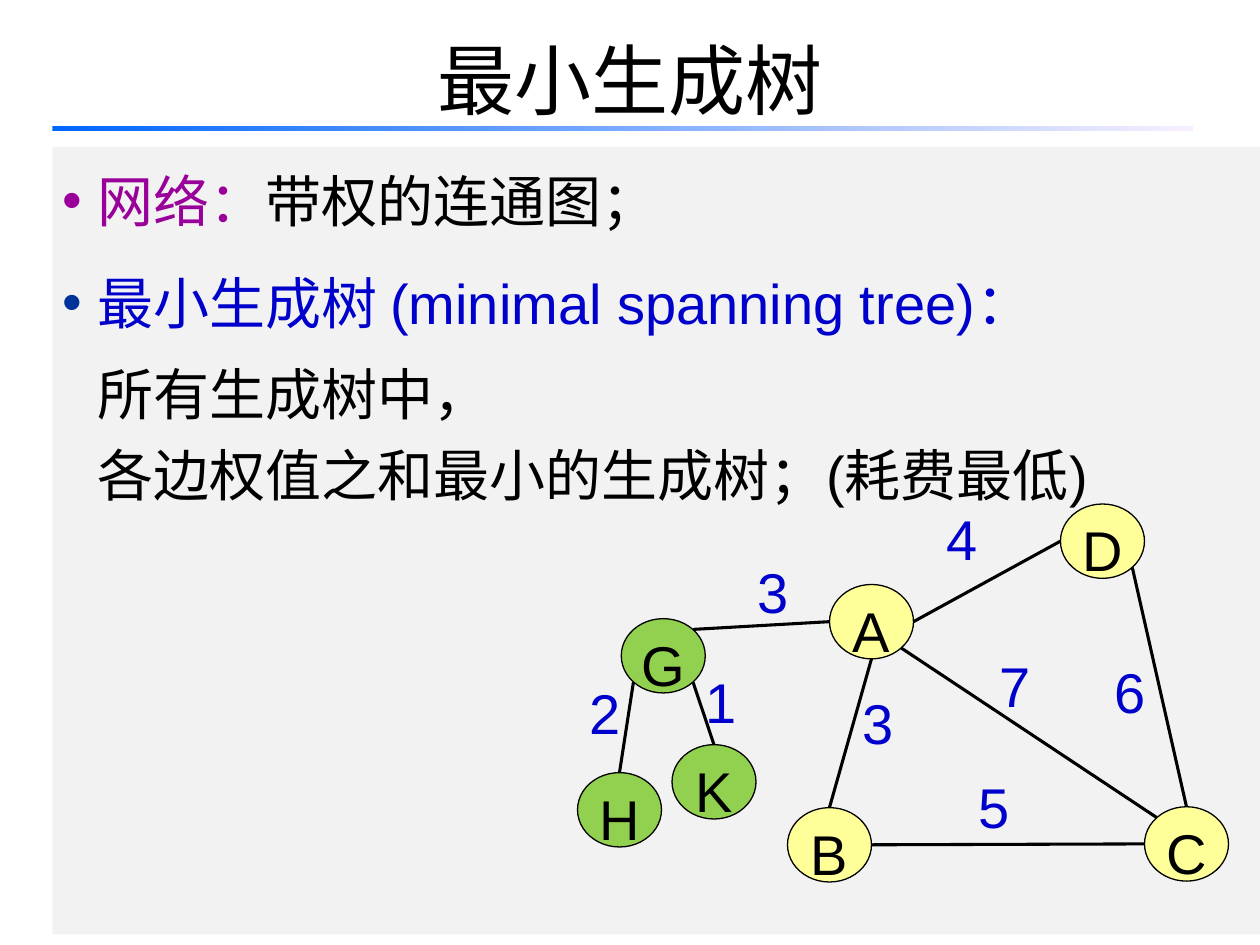
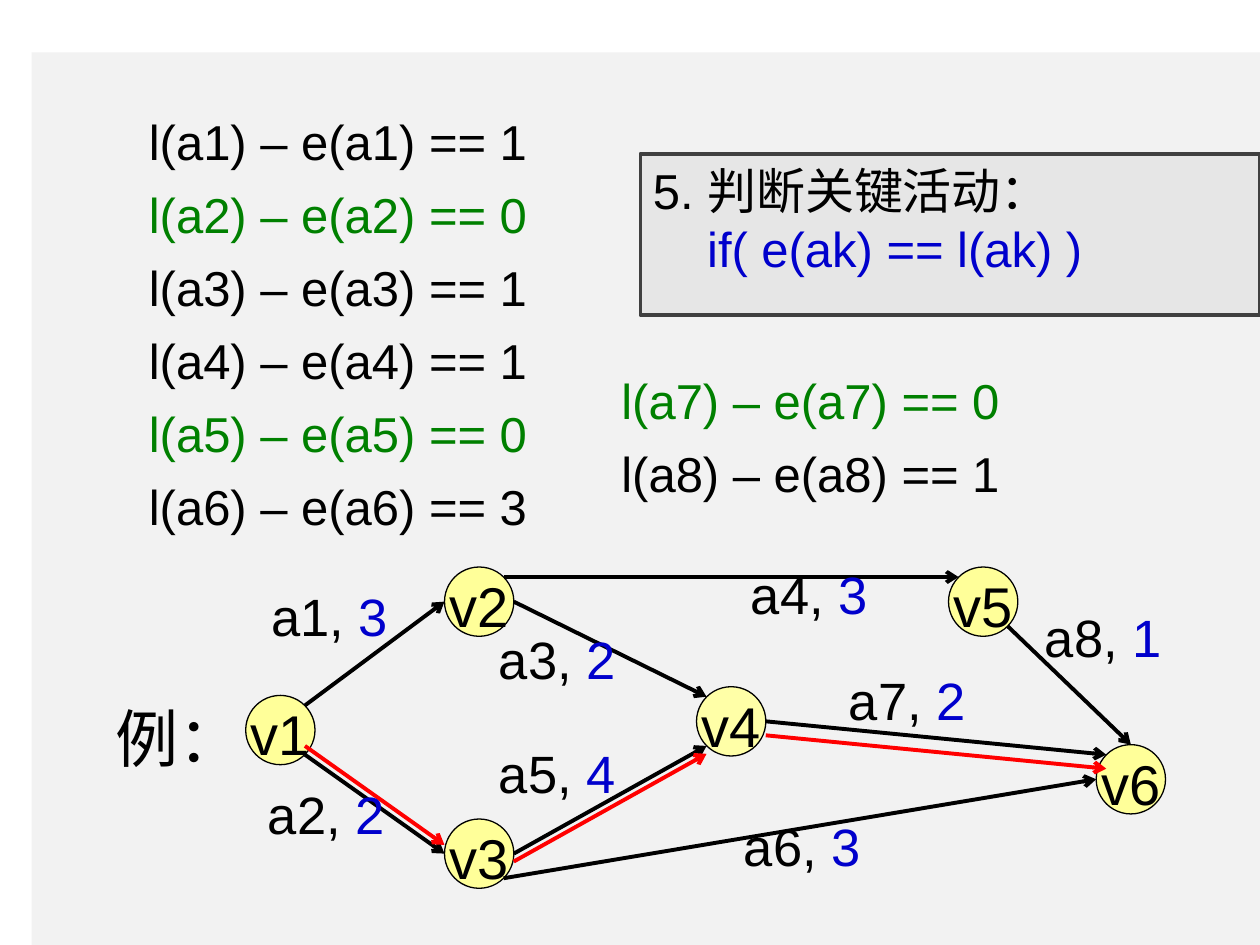
from dataclasses import dataclass

from lxml import etree
from pptx import Presentation
from pptx.dml.color import RGBColor
from pptx.enum.shapes import MSO_CONNECTOR, MSO_SHAPE
from pptx.enum.text import MSO_ANCHOR, PP_ALIGN
from pptx.oxml.ns import qn
from pptx.util import Pt

RECTANGLE, ELLIPSE = MSO_SHAPE.RECTANGLE, MSO_SHAPE.OVAL
STRAIGHT = MSO_CONNECTOR.STRAIGHT
TOP, MIDDLE = MSO_ANCHOR.TOP, MSO_ANCHOR.MIDDLE
LEFT, CENTER = PP_ALIGN.LEFT, PP_ALIGN.CENTER


@dataclass(frozen=True)
class Theme:
    font: str = "Arial"
    title: int = 44
    example: int = 36
    body: int = 32
    label: int = 30
    formula: int = 28
    black: str = "000000"
    blue: str = "0000CC"
    navy: str = "003399"
    purple: str = "990099"
    green: str = "008000"
    red: str = "FF0000"
    panel: str = "F2F2F2"
    callout: str = "E6E6E6"
    callout_edge: str = "404040"
    yellow: str = "FFFF99"
    pale_yellow: str = "FFFFA7"
    leaf: str = "92D050"
    band_start: str = "0066FF"
    band_end: str = "F7EFFF"


theme = Theme()


def write(shape, lines, size, anchor=TOP, align=LEFT, wrap=False, spacing=1.0):
    frame = shape.text_frame
    frame.word_wrap = wrap
    frame.vertical_anchor = anchor
    for index, line in enumerate(lines):
        paragraph = frame.add_paragraph() if index else frame.paragraphs[0]
        paragraph.alignment = align
        paragraph.line_spacing = spacing
        for text, color in line:
            run = paragraph.add_run()
            run.text = text
            run.font.name = theme.font
            run.font.size = Pt(size)
            run.font.color.rgb = RGBColor.from_string(color)
    return frame


def add_block(slide, kind, box, fill, edge=None, edge_width=0.75):
    block = slide.shapes.add_shape(kind, *[Pt(v) for v in box])
    block.shadow.inherit = False
    block.fill.solid()
    block.fill.fore_color.rgb = RGBColor.from_string(fill)
    if edge:
        block.line.color.rgb = RGBColor.from_string(edge)
        block.line.width = Pt(edge_width)
    else:
        block.line.fill.background()
    return block


deck = Presentation()
deck.slide_width, deck.slide_height = Pt(720), Pt(540)
tree_slide, path_slide = [deck.slides.add_slide(deck.slide_layouts[6]) for _ in range(2)]

title = tree_slide.shapes.add_textbox(Pt(36), Pt(0), Pt(648), Pt(90))
write(title, [[("最小生成树", theme.black)]], theme.title, MIDDLE, CENTER, True)

band = add_block(tree_slide, RECTANGLE, (30, 72, 652, 3), theme.band_start)
band.fill.gradient()
band.fill.gradient_angle = 0
for stop, color in zip(band.fill.gradient_stops, (theme.band_start, theme.band_end)):
    stop.color.rgb = RGBColor.from_string(color)

definition = add_block(tree_slide, RECTANGLE, (30, 84, 690, 450), theme.panel)
definition_lines = [
    [("网络：", theme.purple), ("带权的连通图；", theme.black)],
    [("最小生成树 (minimal spanning tree)：", theme.blue)],
    [("所有生成树中，", theme.black)],
    [("各边权值之和最小的生成树；(耗费最低)", theme.black)],
]
frame = write(definition, definition_lines, theme.body, wrap=True, spacing=1.2)
frame.margin_left = 0
for paragraph, bullet_color, gap in zip(
    frame.paragraphs, (theme.purple, theme.navy, None, None), (0, 12, 6, 0)
):
    paragraph.space_before = Pt(gap)
    properties = paragraph._p.get_or_add_pPr()
    properties.set("marL", str(Pt(25.6)))
    properties.set("indent", str(Pt(-19.8) if bullet_color else 0))
    if bullet_color:
        tint = etree.SubElement(properties, qn("a:buClr"))
        etree.SubElement(tint, qn("a:srgbClr"), val=bullet_color)
        etree.SubElement(properties, qn("a:buFont"), typeface=theme.font)
        etree.SubElement(properties, qn("a:buChar"), char="•")

add_block(path_slide, RECTANGLE, (18, 30, 702, 510), theme.panel)
for column_left, column_top, first, slacks in (
    (78, 60, 1, (1, 0, 1, 1, 0, 3)),
    (348, 208, 7, (0, 1)),
):
    for row, slack in enumerate(slacks):
        activity = f"a{first + row}"
        formula = path_slide.shapes.add_textbox(
            Pt(column_left), Pt(column_top + 41.8 * row), Pt(233), Pt(50)
        )
        color = theme.black if slack else theme.green
        write(formula, [[(f"l({activity}) – e({activity}) == {slack}", color)]], theme.formula)

criterion = add_block(
    path_slide, RECTANGLE, (366, 88, 354, 92), theme.callout, theme.callout_edge, 2.25
)
criterion_lines = [
    [("5. 判断关键活动：", theme.black)],
    [("if( e(ak) == l(ak) )", theme.blue)],
]
frame = write(criterion, criterion_lines, theme.formula, wrap=True)
frame.paragraphs[1]._p.get_or_add_pPr().set("marL", str(Pt(31)))

tree_nodes = {
    "A": (474, 334, theme.yellow),
    "D": (606, 288, theme.yellow),
    "B": (450, 461.5, theme.yellow),
    "C": (654, 461, theme.yellow),
    "K": (384, 425.5, theme.leaf),
    "G": (355, 353.5, theme.leaf),
    "H": (330, 441.5, theme.leaf),
}
tree_edges = [
    ("D", "SE", "C", "N", 0),
    ("D", "W", "A", "E", 0),
    ("B", "N", "A", "S", 0),
    ("C", "W", "B", "E", 0),
    ("K", "N", "G", "SE", 0),
    ("H", "N", "G", "SW", 0),
    ("G", "NE", "A", "W", 0),
    ("C", "NW", "A", "SE", 0),
]
path_nodes = {
    "v1": (140.4, 397.4, theme.yellow),
    "v2": (254, 324, theme.yellow),
    "v3": (254, 468, theme.yellow),
    "v4": (398, 392.4, theme.pale_yellow),
    "v5": (542, 324, theme.yellow),
    "v6": (626.4, 425.5, theme.yellow),
}
path_edges = [
    ("v1", "SE", "v3", "W", 0),
    ("v3", "E", "v4", "SW", 0),
    ("v2", "E", "v4", "NW", 0),
    ("v1", "NE", "v2", "W", 0),
    ("v4", "E", "v6", "NW", 0),
    ("v3", "SE", "v6", "W", 0),
    ("v2", "NE", "v5", "NW", 0),
    ("v5", "SE", "v6", "N", 0),
    ("v1", "SE", "v3", "W", -5),
    ("v3", "E", "v4", "SW", 4.5),
    ("v4", "E", "v6", "NW", 8),
]
DIAGONAL = 0.71
sites = {
    "N": (0, -1), "S": (0, 1), "W": (-1, 0), "E": (1, 0),
    "NW": (-DIAGONAL, -DIAGONAL), "NE": (DIAGONAL, -DIAGONAL),
    "SW": (-DIAGONAL, DIAGONAL), "SE": (DIAGONAL, DIAGONAL),
}
for slide, nodes, edges, width, height, spacing, weight, directed in (
    (tree_slide, tree_nodes, tree_edges, 48, 42.5, 1.25, 1.75, False),
    (path_slide, path_nodes, path_edges, 39.6, 39.6, 1.1, 2.25, True),
):
    for name, (left, top, fill) in nodes.items():
        node = add_block(slide, ELLIPSE, (left, top, width, height), fill, theme.black)
        write(node, [[(name, theme.black)]], theme.body, MIDDLE, CENTER, spacing=spacing)
    for start, start_site, end, end_site, shift in edges:
        ends = []
        for name, site in ((start, start_site), (end, end_site)):
            across, down = sites[site]
            ends.append(Pt(nodes[name][0] + width / 2 * (1 + across)))
            ends.append(Pt(nodes[name][1] + height / 2 * (1 + down) + shift))
        edge = slide.shapes.add_connector(STRAIGHT, *ends)
        edge.line.color.rgb = RGBColor.from_string(theme.red if shift else theme.black)
        edge.line.width = Pt(weight)
        if directed:
            etree.SubElement(edge.line._get_or_add_ln(), qn("a:tailEnd"), type="arrow")
        etree.SubElement(edge._element.spPr, qn("a:effectLst"))

for weight, left, top in (
    (6, 630, 372), (5, 552, 438), (4, 534, 285), (3, 486, 390),
    (3, 426, 315), (2, 330, 384), (1, 396, 378), (7, 564, 369),
):
    weight_label = tree_slide.shapes.add_textbox(Pt(left), Pt(top), Pt(54), Pt(51))
    write(weight_label, [[(str(weight), theme.blue)]], theme.body, wrap=True)

for activity, duration, left, top in (
    ("a1", 3, 148, 330), ("a2", 2, 146, 443.5), ("a3", 2, 278, 355), ("a4", 3, 422, 317.5),
    ("a5", 4, 278, 420), ("a6", 3, 418, 461.5), ("a7", 2, 478, 378), ("a8", 1, 590, 342),
):
    activity_label = path_slide.shapes.add_textbox(Pt(left), Pt(top), Pt(82), Pt(48))
    write(
        activity_label,
        [[(f"{activity}, ", theme.black), (str(duration), theme.blue)]],
        theme.label,
    )

example = path_slide.shapes.add_textbox(Pt(59), Pt(396), Pt(87), Pt(56))
write(example, [[("例：", theme.black)]], theme.example)

deck.save("out.pptx")
